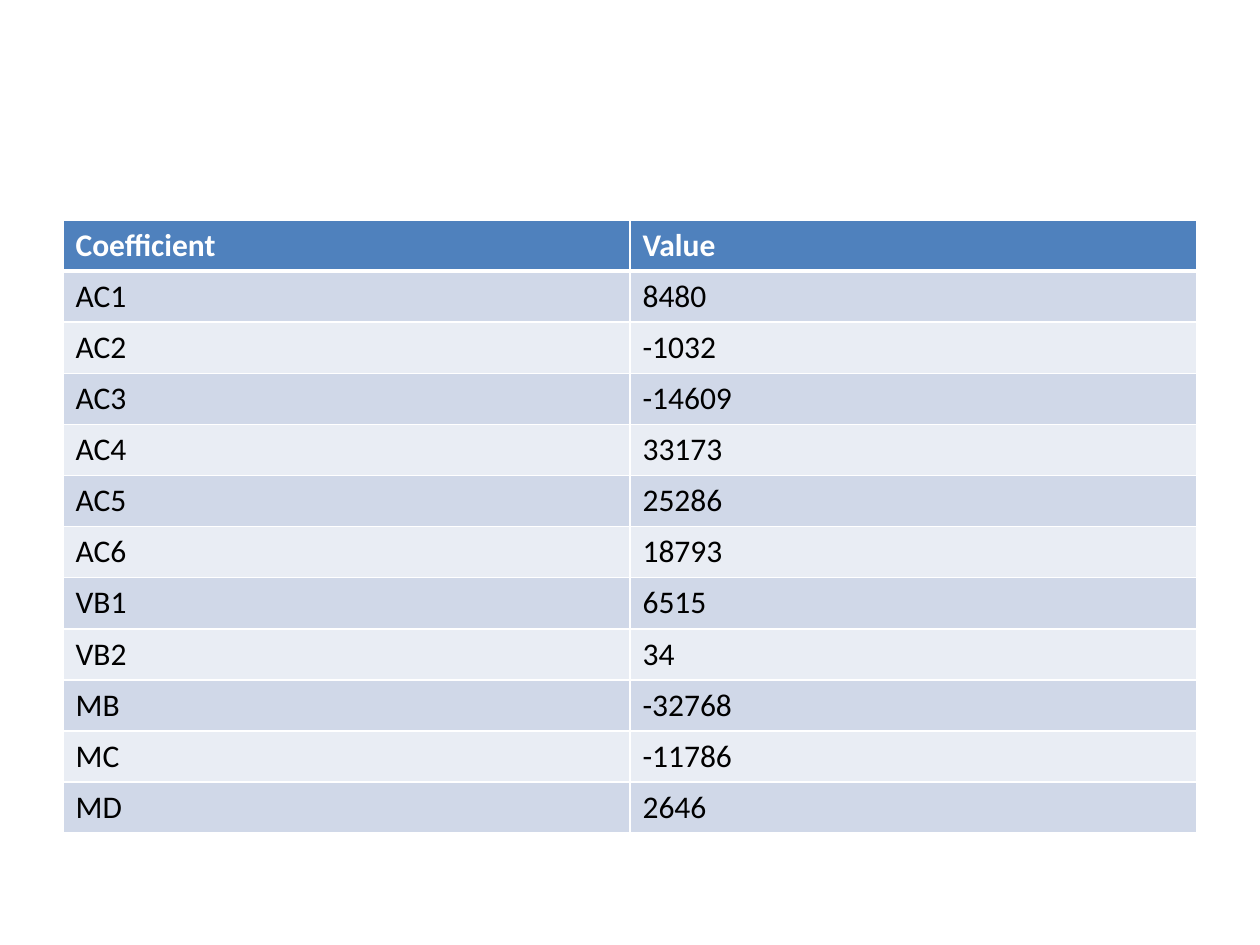
import dataclasses

import lxml.etree
import pptx
import pptx.dml.color
import pptx.enum.text
import pptx.oxml.ns
import pptx.table
import pptx.util

RGBColor = pptx.dml.color.RGBColor
EMU_PER_PIXEL = 914400 / 126

WHITE = RGBColor(0xFF, 0xFF, 0xFF)
BLACK = RGBColor(0x00, 0x00, 0x00)
HEADER_BLUE = RGBColor(0x4F, 0x81, 0xBD)
BAND_DARK = RGBColor(0xD0, 0xD8, 0xE8)
BAND_LIGHT = RGBColor(0xE9, 0xED, 0xF4)

TABLE_LEFT, TABLE_TOP, TABLE_WIDTH, TABLE_HEIGHT = 63, 220, 1134, 613


@dataclasses.dataclass(frozen=True)
class RowStyle:
    fill: RGBColor
    text: RGBColor
    bold: bool = False
    top: int = 1
    bottom: int = 1


ROWS = [
    ("Coefficient", "Value"),
    ("AC1", "8480"),
    ("AC2", "-1032"),
    ("AC3", "-14609"),
    ("AC4", "33173"),
    ("AC5", "25286"),
    ("AC6", "18793"),
    ("VB1", "6515"),
    ("VB2", "34"),
    ("MB", "-32768"),
    ("MC", "-11786"),
    ("MD", "2646"),
]


def pixels(length: float) -> pptx.util.Emu:
    return pptx.util.Emu(round(length * EMU_PER_PIXEL))


def row_style(index: int) -> RowStyle:
    if index == 0:
        return RowStyle(HEADER_BLUE, WHITE, bold=True, bottom=3)
    fill = BAND_DARK if index % 2 else BAND_LIGHT
    return RowStyle(fill, BLACK, top=3 if index == 1 else 1)


def add_borders(cell: pptx.table._Cell, style: RowStyle) -> None:
    qualified = pptx.oxml.ns.qn
    properties = cell._tc.get_or_add_tcPr()
    widths = {"lnL": 1, "lnR": 1, "lnT": style.top, "lnB": style.bottom}
    for side, width in widths.items():
        line = lxml.etree.SubElement(
            properties, qualified(f"a:{side}"), w=str(pptx.util.Pt(width))
        )
        fill = lxml.etree.SubElement(line, qualified("a:solidFill"))
        lxml.etree.SubElement(fill, qualified("a:srgbClr"), val=str(WHITE))


def fill_cell(cell: pptx.table._Cell, text: str, style: RowStyle) -> None:
    # Borders precede the fill in the cell properties
    add_borders(cell, style)
    cell.fill.solid()
    cell.fill.fore_color.rgb = style.fill
    run = cell.text_frame.paragraphs[0].add_run()
    run.text = text
    run.font.name = "Calibri"
    run.font.size = pptx.util.Pt(18)
    run.font.bold = style.bold
    run.font.color.rgb = style.text


# Slide
presentation = pptx.Presentation()
presentation.slide_width = pixels(1260)
presentation.slide_height = pixels(945)
slide = presentation.slides.add_slide(presentation.slide_layouts[6])

# Coefficient table
table = slide.shapes.add_table(
    len(ROWS),
    len(ROWS[0]),
    pixels(TABLE_LEFT),
    pixels(TABLE_TOP),
    pixels(TABLE_WIDTH),
    pixels(TABLE_HEIGHT),
).table
for row_index, texts in enumerate(ROWS):
    for column_index, text in enumerate(texts):
        fill_cell(table.cell(row_index, column_index), text, row_style(row_index))

presentation.save("out.pptx")
